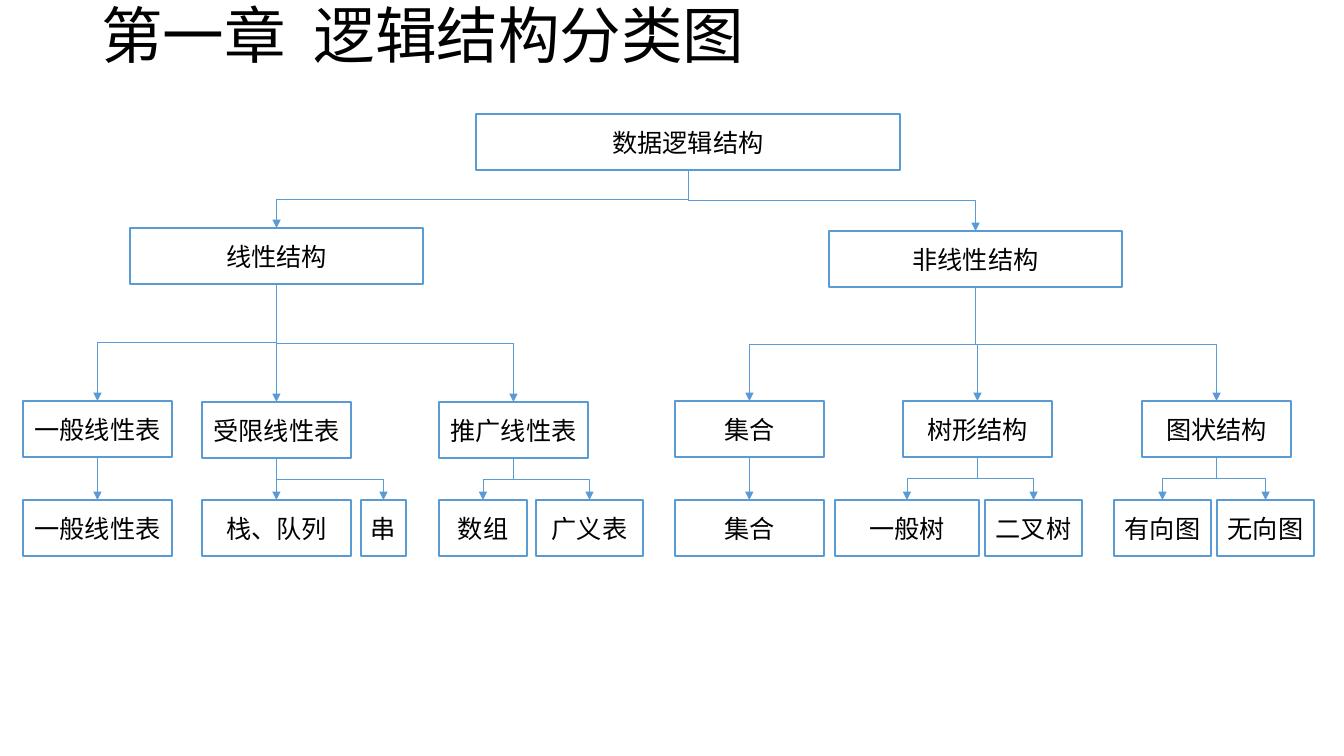
from dataclasses import dataclass

from pptx import Presentation
from pptx.dml.color import RGBColor
from pptx.enum.shapes import MSO_CONNECTOR, MSO_SHAPE
from pptx.enum.text import MSO_ANCHOR, PP_ALIGN
from pptx.oxml.ns import qn
from pptx.shapes.autoshape import Shape
from pptx.shapes.connector import Connector
from pptx.slide import Slide
from pptx.util import Emu, Pt
from lxml import etree

RECT = MSO_SHAPE.RECTANGLE
ELBOW = MSO_CONNECTOR.ELBOW
MIDDLE = MSO_ANCHOR.MIDDLE
LEFT, CENTER = PP_ALIGN.LEFT, PP_ALIGN.CENTER

EMU_PER_PX = 914400 / 100.8
FONT = "Noto Sans CJK SC"
BLUE, WHITE, BLACK = "5B9BD5", "FFFFFF", "000000"
BOX_H = 56
BOTTOM_SITE, TOP_SITE = 2, 0
LEAF_Y = 500


@dataclass(frozen=True)
class Node:
    text: str
    x: int
    y: int
    w: int
    children: tuple["Node", ...] = ()


def leaf(text: str, x: int, w: int) -> Node:
    return Node(text, x, LEAF_Y, w)


LINEAR = Node("线性结构", 130, 228, 293, (
    Node("一般线性表", 23, 401, 149, (leaf("一般线性表", 23, 149),)),
    Node("推广线性表", 439, 402, 149, (leaf("数组", 439, 88), leaf("广义表", 536, 107))),
    Node("受限线性表", 202, 402, 149, (leaf("栈、队列", 202, 149), leaf("串", 361, 45))),
))
NONLINEAR = Node("非线性结构", 829, 231, 293, (
    Node("集合", 675, 401, 149, (leaf("集合", 675, 149),)),
    Node("图状结构", 1142, 401, 149, (leaf("有向图", 1114, 97), leaf("无向图", 1217, 97))),
    Node("树形结构", 903, 401, 149, (leaf("一般树", 835, 144), leaf("二叉树", 985, 97))),
))
ROOT = Node("数据逻辑结构", 476, 114, 424, (LINEAR, NONLINEAR))


def px(n: int) -> Emu:
    return Emu(round(n * EMU_PER_PX))


def color(value: str) -> RGBColor:
    return RGBColor.from_string(value)


def write(s: Shape, text: str, size: int, align: PP_ALIGN) -> None:
    tf = s.text_frame
    tf.text = text
    tf.word_wrap = True
    tf.vertical_anchor = MIDDLE
    p = tf.paragraphs[0]
    p.alignment = align
    r = p.runs[0]
    r.font.size = Pt(size)
    r.font.name = FONT
    r.font.color.rgb = color(BLACK)
    etree.SubElement(r.font._element, qn("a:ea")).set("typeface", FONT)


def add_box(slide: Slide, node: Node) -> Shape:
    s = slide.shapes.add_shape(RECT, px(node.x), px(node.y), px(node.w), px(BOX_H))
    s.shadow.inherit = False
    s.fill.solid()
    s.fill.fore_color.rgb = color(WHITE)
    s.line.color.rgb = color(BLUE)
    s.line.width = Pt(1)
    write(s, node.text, 18, CENTER)
    return s


def add_arrow(slide: Slide, parent: Shape, child: Shape) -> Connector:
    x1, y1 = parent.left + parent.width // 2, parent.top + parent.height
    x2, y2 = child.left + child.width // 2, child.top
    c = slide.shapes.add_connector(ELBOW, x1, y1, x2, y2)
    c.begin_connect(parent, BOTTOM_SITE)
    c.end_connect(child, TOP_SITE)
    drop, run = y2 - y1, abs(x2 - x1)
    c.left, c.top = Emu((x1 + x2 - drop) // 2), Emu((y1 + y2 - run) // 2)
    c.width, c.height = Emu(drop), Emu(run)
    c.rotation = 90 if x2 < x1 else 270
    spPr = c._element.spPr
    spPr.find(qn("a:xfrm")).set("flipH", "0" if x2 < x1 else "1")
    c.line.color.rgb = color(BLUE)
    c.line.width = Pt(0.5)
    etree.SubElement(spPr.find(qn("a:ln")), qn("a:tailEnd")).set("type", "triangle")
    etree.SubElement(spPr, qn("a:effectLst"))
    return c


def add_tree(slide: Slide, node: Node) -> Shape:
    s = add_box(slide, node)
    for child in node.children:
        add_arrow(slide, s, add_tree(slide, child))
    return s


def add_title(slide: Slide) -> None:
    s = slide.shapes.title
    s.left, s.top, s.width, s.height = px(91), px(-34), px(1159), px(146)
    write(s, "第一章  逻辑结构分类图", 44, LEFT)
    s.text_frame.paragraphs[0].line_spacing = 0.9


def main() -> None:
    prs = Presentation()
    prs.slide_width, prs.slide_height = px(1344), px(756)
    slide = prs.slides.add_slide(prs.slide_layouts[5])
    add_title(slide)
    add_tree(slide, ROOT)
    prs.save("out.pptx")


if __name__ == "__main__":
    main()
